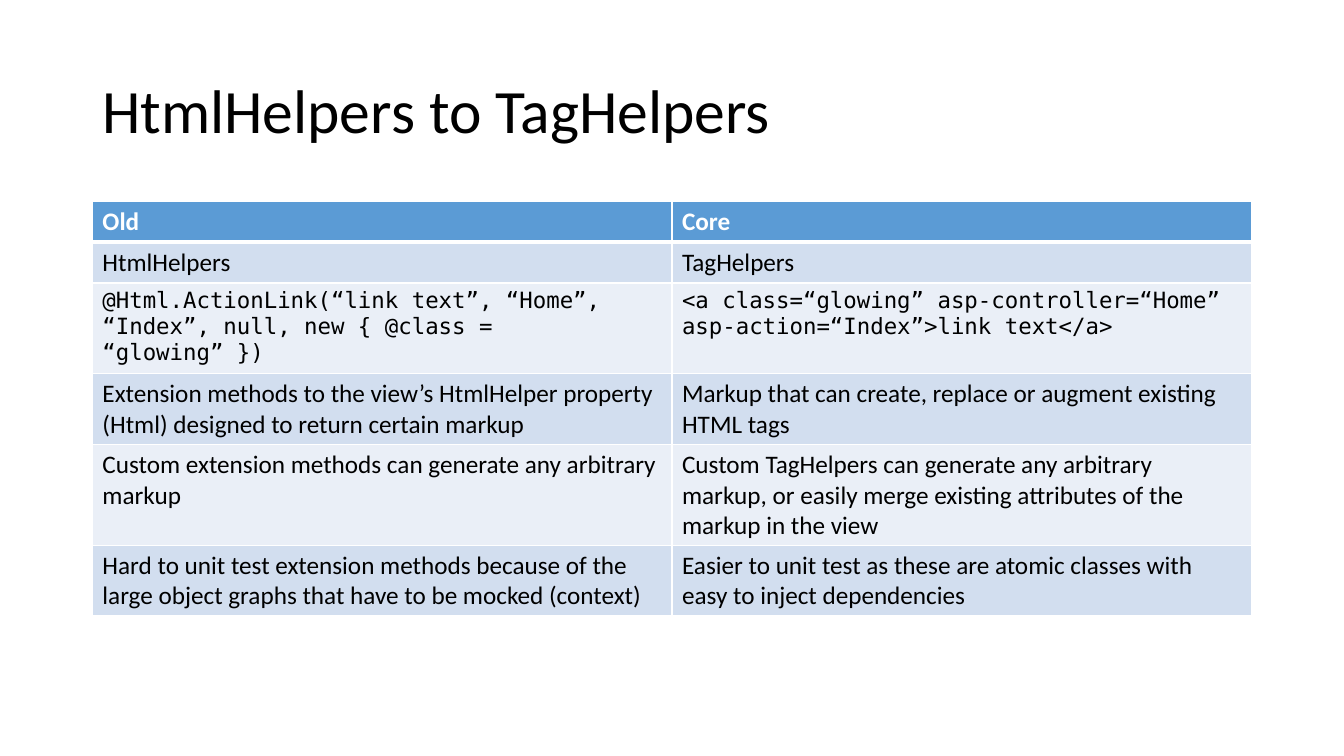
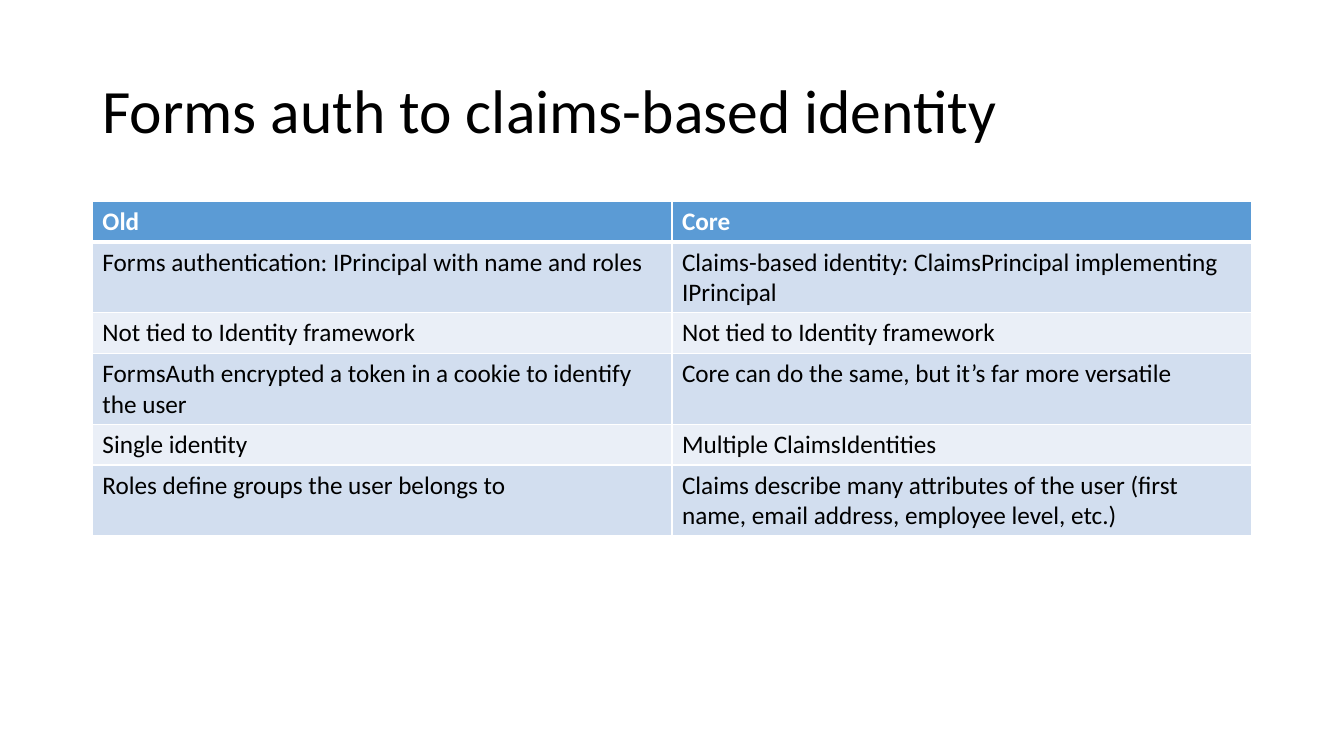
from lxml import etree
from pptx import Presentation
from pptx.dml.color import RGBColor
from pptx.enum.text import MSO_ANCHOR, PP_ALIGN
from pptx.oxml.ns import qn
from pptx.util import Pt

MIDDLE = MSO_ANCHOR.MIDDLE
LEFT_ALIGN = PP_ALIGN.LEFT

BLACK = RGBColor(0x00, 0x00, 0x00)
WHITE = RGBColor(0xFF, 0xFF, 0xFF)
HEADER_BLUE = RGBColor(0x5B, 0x9B, 0xD5)
BAND_DARK = RGBColor(0xD2, 0xDE, 0xEF)
BAND_LIGHT = RGBColor(0xEA, 0xEF, 0xF7)

BODY_FONT = "Calibri"
CODE_FONT = "DejaVu Sans Mono"
TITLE_SIZE = Pt(44)
BODY_SIZE = Pt(18)
CODE_SIZE = Pt(16)
THIN_RULE = Pt(1)
HEADER_RULE = Pt(3)

SLIDE_WIDTH, SLIDE_HEIGHT = Pt(960), Pt(540)
TITLE_BOX = (Pt(66), Pt(28.75), Pt(828), Pt(104.4))
TABLE_BOX = (Pt(66), Pt(143.75), Pt(828))
ROW_HEIGHT = Pt(29.2)

HEADINGS = ("Old", "Core")
COMPARISONS = [
    {
        "title": "HtmlHelpers to TagHelpers",
        "code_rows": {2},
        "rows": [
            ("HtmlHelpers", "TagHelpers"),
            ("@Html.ActionLink(“link text”, “Home”, “Index”, null, new { @class = “glowing” })",
             "<a class=“glowing” asp-controller=“Home” asp-action=“Index”>link text</a>"),
            ("Extension methods to the view’s HtmlHelper property (Html) designed to return certain markup",
             "Markup that can create, replace or augment existing HTML tags"),
            ("Custom extension methods can generate any arbitrary markup",
             "Custom TagHelpers can generate any arbitrary markup, or easily merge existing "
             "attributes of the markup in the view"),
            ("Hard to unit test extension methods because of the large object graphs that have to be "
             "mocked (context)",
             "Easier to unit test as these are atomic classes with easy to inject dependencies"),
        ],
    },
    {
        "title": "Forms auth to claims-based identity",
        "code_rows": set(),
        "rows": [
            ("Forms authentication: IPrincipal with name and roles",
             "Claims-based identity: ClaimsPrincipal implementing IPrincipal"),
            ("Not tied to Identity framework", "Not tied to Identity framework"),
            ("FormsAuth encrypted a token in a cookie to identify the user",
             "Core can do the same, but it’s far more versatile"),
            ("Single identity", "Multiple ClaimsIdentities"),
            ("Roles define groups the user belongs to",
             "Claims describe many attributes of the user (first name, email address, employee level, etc.)"),
        ],
    },
]


def style_font(font, name, size, color, bold=False):
    font.name = name
    font.size = size
    font.color.rgb = color
    font.bold = bold


def add_title(slide, box, text):
    text_frame = slide.shapes.add_textbox(*box).text_frame
    text_frame.word_wrap = True
    text_frame.vertical_anchor = MIDDLE
    text_frame.text = text
    paragraph = text_frame.paragraphs[0]
    paragraph.alignment = LEFT_ALIGN
    paragraph.line_spacing = 0.9
    style_font(paragraph.runs[0].font, BODY_FONT, TITLE_SIZE, BLACK)


def set_borders(cell, top, bottom):
    properties = cell._tc.get_or_add_tcPr()
    widths = {"a:lnL": THIN_RULE, "a:lnR": THIN_RULE, "a:lnT": top, "a:lnB": bottom}
    for tag, width in widths.items():
        line = etree.SubElement(properties, qn(tag), w=str(int(width)))
        fill = etree.SubElement(line, qn("a:solidFill"))
        etree.SubElement(fill, qn("a:srgbClr"), val=str(WHITE))


def format_cell(cell, text, row_index, is_code):
    is_header = row_index == 0
    set_borders(
        cell,
        top=HEADER_RULE if row_index == 1 else THIN_RULE,
        bottom=HEADER_RULE if is_header else THIN_RULE,
    )
    cell.fill.solid()
    if is_header:
        cell.fill.fore_color.rgb = HEADER_BLUE
    else:
        cell.fill.fore_color.rgb = BAND_DARK if row_index % 2 else BAND_LIGHT
    cell.text_frame.text = text
    style_font(
        cell.text_frame.paragraphs[0].runs[0].font,
        CODE_FONT if is_code else BODY_FONT,
        CODE_SIZE if is_code else BODY_SIZE,
        WHITE if is_header else BLACK,
        bold=is_header,
    )


def add_comparison_table(slide, box, rows, code_rows):
    left, top, width = box
    all_rows = [HEADINGS, *rows]
    table = slide.shapes.add_table(
        len(all_rows), len(HEADINGS), left, top, width, ROW_HEIGHT * len(all_rows)
    ).table
    for row_index, texts in enumerate(all_rows):
        table.rows[row_index].height = ROW_HEIGHT
        for column_index, text in enumerate(texts):
            format_cell(table.cell(row_index, column_index), text, row_index, row_index in code_rows)


def add_comparison_slide(presentation, comparison):
    slide = presentation.slides.add_slide(presentation.slide_layouts[6])
    add_title(slide, TITLE_BOX, comparison["title"])
    add_comparison_table(slide, TABLE_BOX, comparison["rows"], comparison["code_rows"])


def main():
    presentation = Presentation()
    presentation.slide_width = SLIDE_WIDTH
    presentation.slide_height = SLIDE_HEIGHT
    for comparison in COMPARISONS:
        add_comparison_slide(presentation, comparison)
    presentation.save("out.pptx")


if __name__ == "__main__":
    main()
